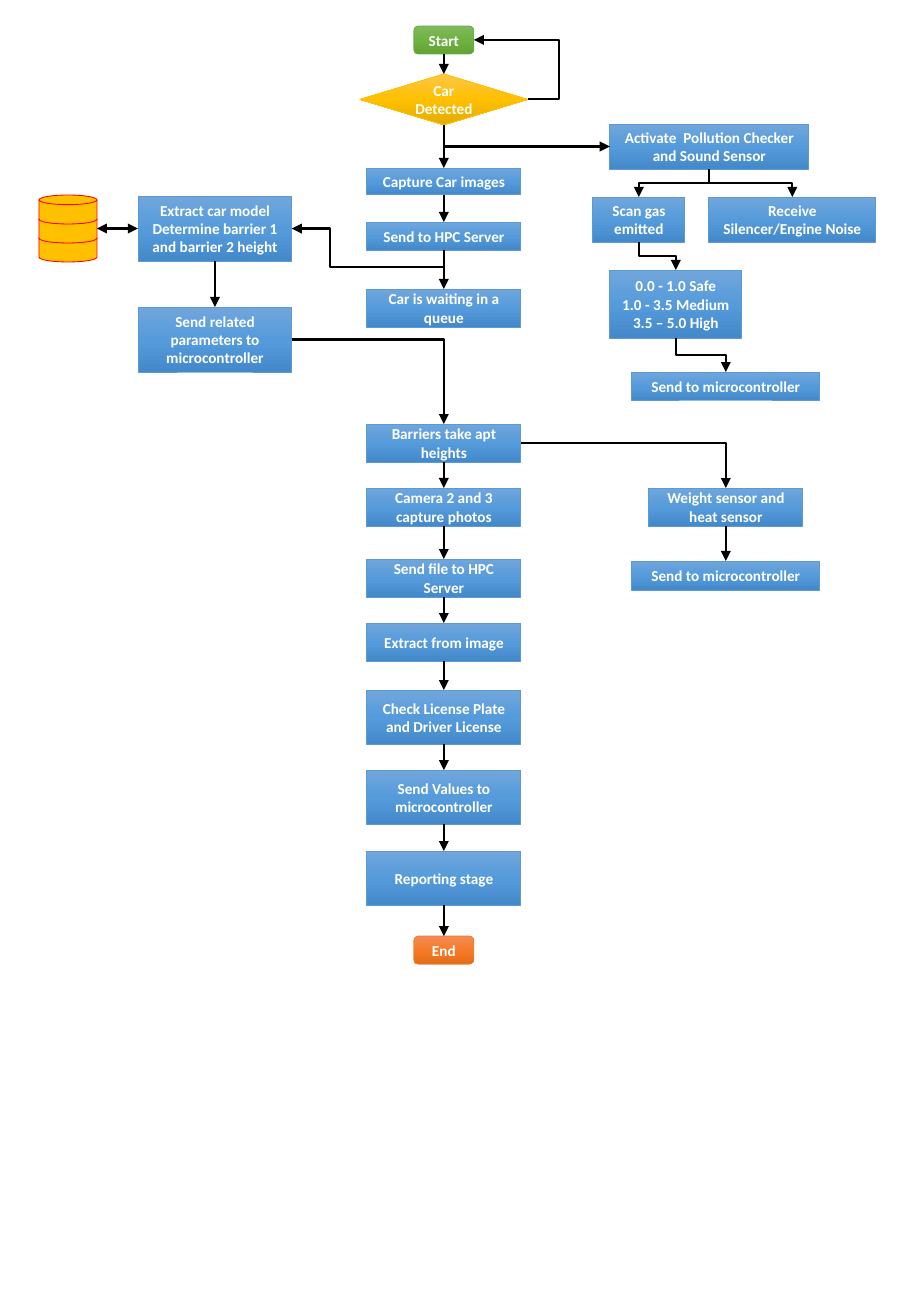
from copy import deepcopy
from itertools import pairwise

from lxml import etree
from pptx import Presentation
from pptx.dml.color import RGBColor
from pptx.enum.shapes import MSO_CONNECTOR, MSO_SHAPE
from pptx.enum.text import PP_ALIGN
from pptx.oxml.ns import qn
from pptx.util import Inches, Pt

PX = Inches(1) / 121.5
TOP, LEFT, BOTTOM, RIGHT = range(4)

WHITE = RGBColor(0xFF, 0xFF, 0xFF)
BLACK = RGBColor(0x00, 0x00, 0x00)
RED = RGBColor(0xFF, 0x00, 0x00)
GOLD = RGBColor(0xFF, 0xC0, 0x00)
# Each style: three gradient stops from top to bottom, then the outline
BLUE_STYLE = (RGBColor(0x71, 0xA6, 0xDB), RGBColor(0x55, 0x9B, 0xDB),
              RGBColor(0x44, 0x8A, 0xCA), RGBColor(0x5B, 0x9B, 0xD5))
GREEN_STYLE = (RGBColor(0x81, 0xB8, 0x61), RGBColor(0x6F, 0xB2, 0x42),
               RGBColor(0x62, 0xA3, 0x36), RGBColor(0x70, 0xAD, 0x47))
GOLD_STYLE = (RGBColor(0xFF, 0xC6, 0x4B), GOLD, RGBColor(0xE3, 0xAB, 0x00), GOLD)
ORANGE_STYLE = (RGBColor(0xF1, 0x8C, 0x57), RGBColor(0xF6, 0x7B, 0x28),
                RGBColor(0xE5, 0x6C, 0x19), RGBColor(0xED, 0x7D, 0x31))


def px(value):
    """Turn pixels into EMU."""
    return round(value * PX)


def add_node(slide, box, text, style=BLUE_STYLE, kind=MSO_SHAPE.RECTANGLE):
    """Add a gradient flowchart node with centred bold text."""
    node = slide.shapes.add_shape(kind, *map(px, box))
    node.shadow.inherit = False
    node.fill.gradient()
    node.fill.gradient_angle = 270
    stop_list = node._element.spPr.find(".//" + qn("a:gsLst"))
    stop_list.append(deepcopy(stop_list[0]))
    for stop, color, position in zip(node.fill.gradient_stops, style, (0, 0.5, 1)):
        stop.color.rgb, stop.position = color, position
    node.line.color.rgb = style[-1]
    node.line.width = Pt(0.5)
    node.text_frame.word_wrap = True
    node.text_frame.text = text
    for paragraph in node.text_frame.paragraphs:
        paragraph.alignment = PP_ALIGN.CENTER
        font = paragraph.font
        font.name, font.size, font.bold = "Calibri", Pt(9), True
        font.color.rgb = WHITE
    return node


def add_arrow(slide, start, start_side, end, end_side, kind=MSO_CONNECTOR.STRAIGHT,
              both_heads=False):
    """Glue a black arrow to two nodes; end may also be a plain (x, y) point."""
    end_point = map(px, end) if isinstance(end, tuple) else (0, 0)
    arrow = slide.shapes.add_connector(kind, 0, 0, *end_point)
    arrow.begin_connect(start, start_side)
    if not isinstance(end, tuple):
        arrow.end_connect(end, end_side)
    arrow.line.color.rgb = BLACK
    arrow.line.width = Pt(1.25)
    properties = arrow._element.spPr
    line = properties.find(qn("a:ln"))
    for tag in ("a:headEnd", "a:tailEnd") if both_heads else ("a:tailEnd",):
        etree.SubElement(line, qn(tag), type="triangle")
    etree.SubElement(properties, qn("a:effectLst"))
    return arrow


def add_elbow(slide, start, start_side, end, end_side, bends=3, adjust=()):
    """Add an elbow arrow; one leaving a node's bottom is turned to run downwards."""
    arrow = add_arrow(slide, start, start_side, end, end_side, MSO_CONNECTOR.ELBOW)
    geometry = arrow._element.spPr.find(qn("a:prstGeom"))
    geometry.set("prst", f"bentConnector{bends}")
    guides = geometry.find(qn("a:avLst"))
    if guides is None:
        guides = etree.SubElement(geometry, qn("a:avLst"))
    for number, value in enumerate(adjust, 1):
        name = "adj" if bends == 2 else f"adj{number}"
        etree.SubElement(guides, qn("a:gd"), name=name, fmla=f"val {round(value * 100000)}")
    if start_side == BOTTOM:
        rightward = arrow.end_x > arrow.begin_x
        upward = arrow.end_y < arrow.begin_y
        left, top, width, height = arrow.left, arrow.top, arrow.width, arrow.height
        arrow.left, arrow.top = left + (width - height) // 2, top + (height - width) // 2
        arrow.width, arrow.height = height, width
        frame = arrow._element.spPr.find(qn("a:xfrm"))
        frame.set("rot", str((270 if rightward else 90) * 60000))
        frame.set("flipH", "1" if rightward != upward else "0")
        frame.set("flipV", "0")
    return arrow


def add_chain(slide, nodes):
    """Join consecutive nodes with downward arrows."""
    for upper, lower in pairwise(nodes):
        add_arrow(slide, upper, BOTTOM, lower, TOP)


def add_main_flow(slide, box):
    """Draw the central column from Start to End and return its nodes by text."""
    left, top, width, _ = box
    steps = [("Start", 0, 28, 60, GREEN_STYLE, MSO_SHAPE.ROUNDED_RECTANGLE),
             ("Car Detected", 48, 51, 168, GOLD_STYLE, MSO_SHAPE.DIAMOND)]
    steps += [(text, y, height, 154, BLUE_STYLE, MSO_SHAPE.RECTANGLE)
              for text, y, height in (
                  ("Capture Car images", 142, 27),
                  ("Send to HPC Server", 196, 28),
                  ("Car is waiting in a queue", 263, 38),
                  ("Barriers take apt heights", 398, 38),
                  ("Camera 2 and 3 capture photos", 462, 38),
                  ("Send file to HPC Server", 533, 38),
                  ("Extract from image", 597, 38),
                  ("Check License Plate and Driver License", 664, 54),
                  ("Send Values to microcontroller", 744, 54),
                  ("Reporting stage", 825, 54))]
    steps.append(("End", 910, 28, 60, ORANGE_STYLE, MSO_SHAPE.ROUNDED_RECTANGLE))
    nodes = {text: add_node(slide, (left + (width - w) / 2, top + y, w, h), text, style, kind)
             for text, y, h, w, style, kind in steps}
    column = list(nodes.values())
    add_chain(slide, column[:5])
    add_chain(slide, column[5:])
    add_elbow(slide, nodes["Car Detected"], RIGHT, nodes["Start"], RIGHT, adjust=(-0.57,))
    return nodes


def add_database(slide, box):
    """Stack three disks, lowest at the back."""
    left, top, width, height = box
    step = 19
    for level in (2, 1, 0):
        disk = slide.shapes.add_shape(
            MSO_SHAPE.FLOWCHART_MAGNETIC_DISK,
            *map(px, (left, top + level * step, width, height - 2 * step)))
        disk.shadow.inherit = False
        disk.fill.solid()
        disk.fill.fore_color.rgb = GOLD
        disk.line.color.rgb = RED
        disk.line.width = Pt(0.5)


def add_model_lookup(slide, box):
    """Draw the database and the two car model steps; return those steps."""
    left, top, _, _ = box
    add_database(slide, (left, top, 58, 67))
    extract = add_node(slide, (left + 99, top + 1, 154, 65),
                       "Extract car model\nDetermine barrier 1 and barrier 2 height")
    send = add_node(slide, (left + 99, top + 112, 154, 65),
                    "Send related parameters to microcontroller")
    add_arrow(slide, extract, LEFT, (left + 58, top + 33.5), None, both_heads=True)
    add_chain(slide, (extract, send))
    return extract, send


def add_pollution_branch(slide, box):
    """Draw the gas and noise checks and return the first step."""
    left, top, _, _ = box
    activate, scan, receive, levels, send = [
        add_node(slide, (left + x, top + y, width, height), text)
        for text, x, y, width, height in (
            ("Activate  Pollution Checker and Sound Sensor", 17, 0, 199, 45),
            ("Scan gas emitted", 0, 73, 92, 45),
            ("Receive Silencer/Engine Noise", 116, 73, 167, 45),
            ("0.0 - 1.0 Safe\n1.0 - 3.5 Medium\n3.5 – 5.0 High", 17, 146, 132, 68),
            ("Send to microcontroller", 39, 248, 188, 28))]
    for upper, lower in ((activate, scan), (activate, receive), (scan, levels), (levels, send)):
        add_elbow(slide, upper, BOTTOM, lower, TOP)
    return activate


def add_weight_branch(slide, box):
    """Draw the weight and heat sensor steps and return the first one."""
    left, top, width, _ = box
    sensors = add_node(slide, (left + (width - 154) / 2, top, 154, 38),
                       "Weight sensor and heat sensor")
    send = add_node(slide, (left, top + 73, width, 29), "Send to microcontroller")
    add_chain(slide, (sensors, send))
    return sensors


def add_flowchart(slide, box):
    """Place the four regions in the box and link them."""
    left, top, _, _ = box
    main = add_main_flow(slide, (left + 321, top, 168, 938))
    extract, send = add_model_lookup(slide, (left, top + 169, 253, 177))
    activate = add_pollution_branch(slide, (left + 554, top + 98, 283, 276))
    sensors = add_weight_branch(slide, (left + 593, top + 462, 188, 102))
    barriers = main["Barriers take apt heights"]
    add_elbow(slide, main["Car Detected"], BOTTOM, activate, LEFT, bends=2)
    add_elbow(slide, main["Send to HPC Server"], BOTTOM, extract, RIGHT, bends=4,
              adjust=(-0.78, 0.75))
    add_elbow(slide, send, RIGHT, barriers, TOP, bends=2)
    add_elbow(slide, barriers, RIGHT, sensors, TOP, bends=2)


presentation = Presentation()
presentation.slide_width, presentation.slide_height = Inches(7.5), Inches(10.83)
page = presentation.slides.add_slide(presentation.slide_layouts[6])
add_flowchart(page, (39, 26, 837, 938))
presentation.save("out.pptx")
